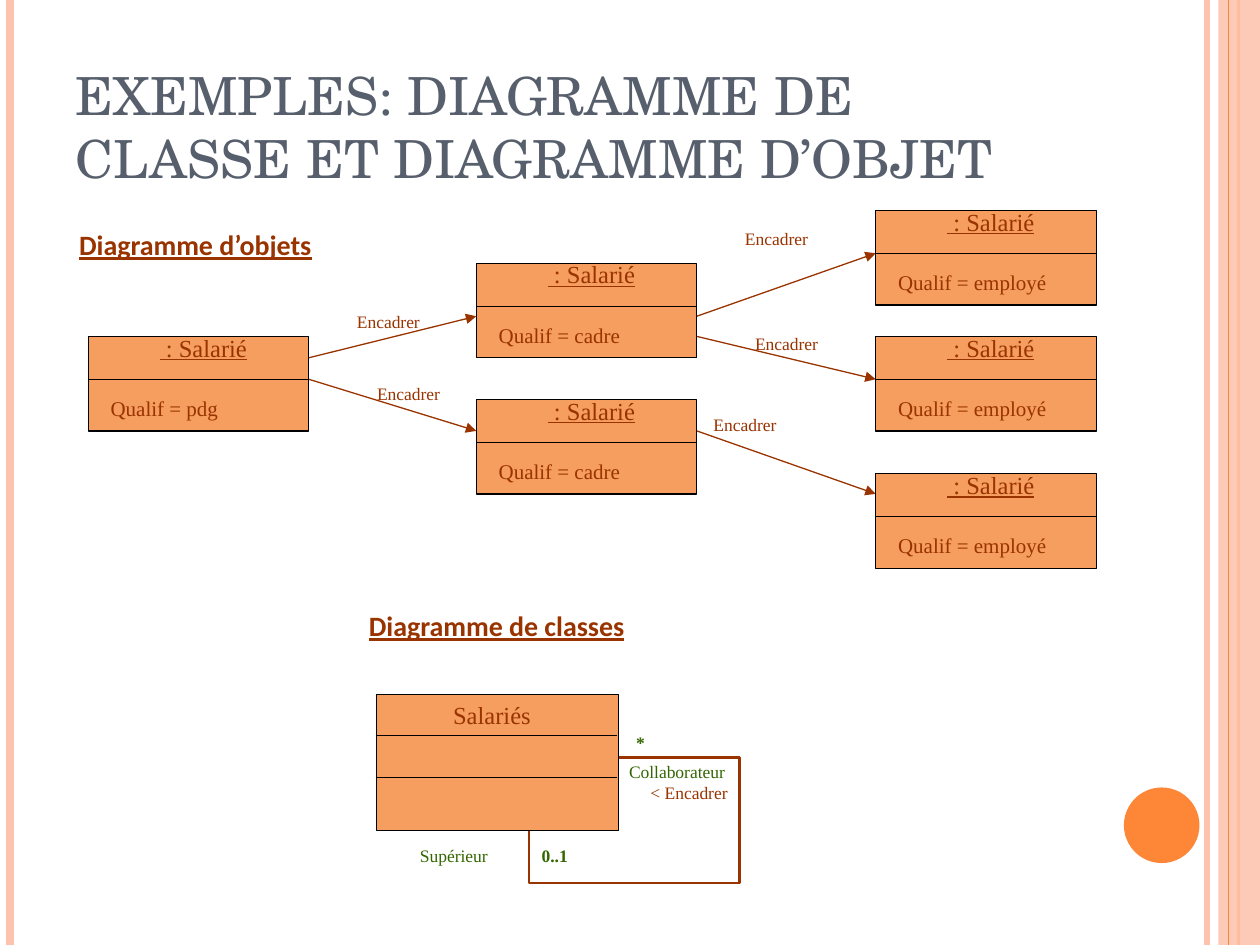
from pptx import Presentation
from pptx.dml.color import RGBColor
from pptx.enum.shapes import MSO_CONNECTOR, MSO_SHAPE
from pptx.enum.text import MSO_ANCHOR, PP_ALIGN
from pptx.oxml.ns import qn
from pptx.util import Inches, Pt
from lxml.etree import SubElement

RUST, GREEN, ORANGE = "993300", "336600", "FE8637"
PEACH, BOX, BLACK = "FEC3AE", "F69D60", "000000"
TIMES = "Times New Roman"

prs = Presentation()
prs.slide_width, prs.slide_height = Inches(10), Inches(7.5)
slide = prs.slides.add_slide(prs.slide_layouts[6])
shapes = slide.shapes


def line(start, end, color, width=0.75, arrow=False):
    """Draw a straight line, with an arrowhead at its end if asked."""
    link = shapes.add_connector(MSO_CONNECTOR.STRAIGHT,
                                *[Inches(v) for v in start + end])
    link.line.color.rgb = RGBColor.from_string(color)
    link.line.width = Pt(width)
    if arrow:
        SubElement(link.line._get_or_add_ln(), qn("a:tailEnd"), type="triangle")
    SubElement(link._element.spPr, qn("a:effectLst"))


def block(area, fill=None, edge=None, width=0.75, kind=MSO_SHAPE.RECTANGLE):
    """Draw a preset shape and return it; without a colour a part is empty."""
    shape = shapes.add_shape(kind, *[Inches(v) for v in area])
    shape.shadow.inherit = False
    if fill:
        shape.fill.solid()
        shape.fill.fore_color.rgb = RGBColor.from_string(fill)
    else:
        shape.fill.background()
    if edge:
        shape.line.color.rgb = RGBColor.from_string(edge)
        shape.line.width = Pt(width)
    else:
        shape.line.fill.background()
    return shape


def label(area, words, size, color=RUST, face=TIMES, bold=False, under=False,
          align=PP_ALIGN.LEFT, anchor=MSO_ANCHOR.TOP):
    """Place one paragraph of text."""
    frame = shapes.add_textbox(*[Inches(v) for v in area]).text_frame
    frame.word_wrap = True
    frame.vertical_anchor = anchor
    frame.text = words
    para = frame.paragraphs[0]
    para.alignment = align
    font = para.runs[0].font
    font.name, font.size, font.bold, font.underline = face, Pt(size), bold, under
    font.color.rgb = RGBColor.from_string(color)


# Side bands
for x, color, width in [(9.58, PEACH, 3), (0.08, PEACH, 4.5), (9.83, ORANGE, 1.5)]:
    line((x, 0), (x, 7.5), color, width)
band = block((9.67, 0, 0.33, 7.5), PEACH)
tone = band._element.spPr.find(qn("a:solidFill"))[0]
SubElement(tone, qn("a:alpha"), val="87000")
line((9.75, 0), (9.75, 7.5), ORANGE)
block((8.92, 6.25, 0.6, 0.6), ORANGE, kind=MSO_SHAPE.OVAL)

# Title and headings
label((0.5, 0.3, 8.17, 1.25), "EXEMPLES: DIAGRAMME DE CLASSE ET DIAGRAMME D’OBJET",
      30, "575F6D", "TeX Gyre Schola", anchor=MSO_ANCHOR.BOTTOM)
for area, words in [((0.53, 1.76, 2.43, 0.37), "Diagramme d’objets"),
                    ((2.83, 4.78, 2.67, 0.37), "Diagramme de classes")]:
    label(area, words, 16, face="Calibri", bold=True, under=True)

# Object diagram
for start, end, spot in [
    ((2.45, 2.84), (3.78, 2.51), (2.7, 2.42)),
    ((2.45, 3.01), (3.78, 3.42), (2.86, 2.99)),
    ((5.53, 2.51), (6.95, 2.01), (5.78, 1.76)),
    ((5.53, 2.67), (6.95, 3.01), (5.86, 2.59)),
    ((5.53, 3.42), (6.95, 3.92), (5.53, 3.24)),
]:
    line(start, end, RUST, arrow=True)
    label(spot + (1, 0.27), " Encadrer", 10)

for x, y, role in [
    (0.7, 2.67, "pdg"),
    (3.78, 2.09, "cadre"), (3.78, 3.17, "cadre"),
    (6.95, 1.67, "employé"), (6.95, 2.67, "employé"), (6.95, 3.76, "employé"),
]:
    block((x, y, 1.75, 0.75), BOX, BLACK)
    label((x + 0.08, y - 0.08, 1.67, 0.34), " : Salarié", 14, under=True,
          align=PP_ALIGN.CENTER)
    line((x, y + 0.34), (x + 1.75, y + 0.34), BLACK)
    label((x + 0.08, y + 0.42, 1.67, 0.3), f"Qualif = {role}", 12)

# Class diagram
block((4.2, 6.01, 1.67, 1), edge=RUST, width=1.5)
block((2.99, 5.51, 1.92, 1.08), BOX, BLACK)
for y in (5.84, 6.17):
    line((2.99, y), (4.9, y), BLACK)
label((3.24, 5.51, 1.33, 0.34), "Salariés", 14, align=PP_ALIGN.CENTER)
for x, y, width, words, color, bold in [
    (4.86, 5.99, 1.17, " Collaborateur", GREEN, False),
    (4.95, 5.76, 0.42, "*", GREEN, True),
    (5.03, 6.16, 1, " < Encadrer", RUST, False),
    (3.2, 6.66, 1.17, " Supérieur", GREEN, False),
    (4.2, 6.66, 0.42, "0..1", GREEN, True),
]:
    label((x, y, width, 0.27), words, 10, color, bold=bold)

prs.save("out.pptx")
